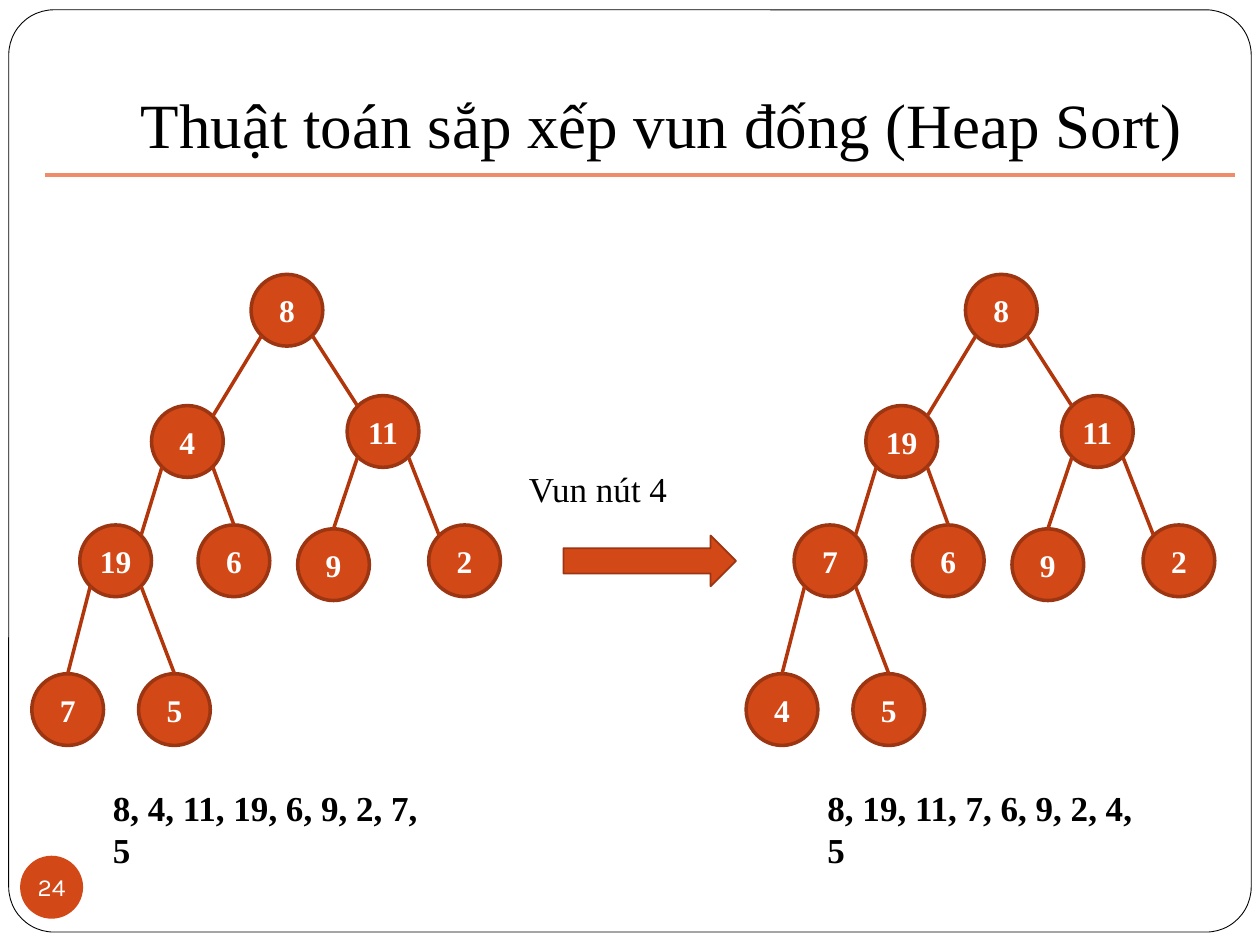
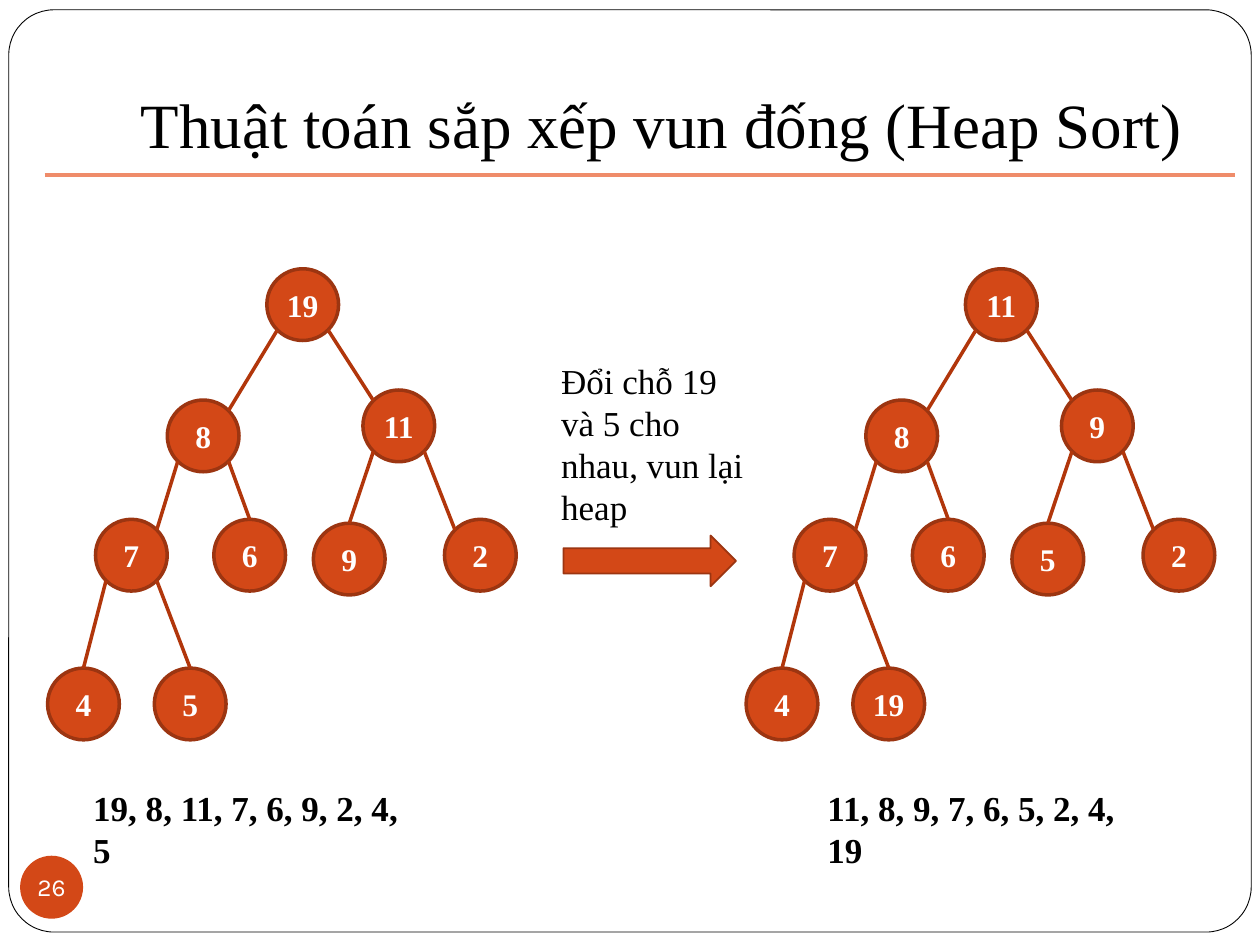
from math import sqrt

from lxml import etree
from pptx import Presentation
from pptx.dml.color import RGBColor
from pptx.enum import shapes, text
from pptx.oxml.ns import qn
from pptx.util import Pt

SHAPE = shapes.MSO_SHAPE
ALIGN = text.PP_ALIGN
ANCHOR = text.MSO_ANCHOR
TITLE = "Thuật toán sắp xếp vun đống (Heap Sort)"

# Heap layout in level order: top-left of each node, relative to the tree
NODE = 41
NODES = [(125.3, 0), (68.4, 75), (180.2, 69.3), (27.4, 143.2), (95, 143.2),
         (151.9, 145.4), (226.8, 143.2), (0, 228.2), (61, 228.2)]
# Where the edge from the parent meets each node below the root
ENDS = ["right", "left", "right", "top", "top", "left", "top", "top"]


def rgb(value):
    return RGBColor.from_string(value)


def write(sp, content, size=20, font="Times New Roman", color="000000", bold=False,
          align=ALIGN.LEFT, anchor=ANCHOR.TOP, insets=(7.2, 3.6, 7.2, 3.6), wrap=True):
    tf = sp.text_frame
    tf.word_wrap = wrap
    tf.vertical_anchor = anchor
    tf.margin_left, tf.margin_top, tf.margin_right, tf.margin_bottom = map(Pt, insets)
    p = tf.paragraphs[0]
    p.alignment = align
    r = p.add_run()
    r.text = content
    r.font.size, r.font.name, r.font.bold = Pt(size), font, bold
    r.font.color.rgb = rgb(color)
    return tf


class Deck:
    ACCENT, OUTLINE, EDGE, RULE = "D34817", "9C3511", "B1360B", "EF8C6A"
    CENTRED = dict(color="FFFFFF", align=ALIGN.CENTER, anchor=ANCHOR.MIDDLE,
                   insets=(0, 0, 0, 0))

    def __init__(self):
        self.prs = Presentation()
        self.prs.slide_width, self.prs.slide_height = Pt(720), Pt(540)
        self.s = None

    def shape(self, kind, x, y, w, h, fill, line=None, weight=1):
        sp = self.s.shapes.add_shape(kind, Pt(x), Pt(y), Pt(w), Pt(h))
        sp.shadow.inherit = False
        sp.fill.solid()
        sp.fill.fore_color.rgb = rgb(fill)
        if line:
            sp.line.color.rgb = rgb(line)
            sp.line.width = Pt(weight)
        else:
            sp.line.fill.background()
        return sp

    def line(self, start, end, color):
        c = self.s.shapes.add_connector(shapes.MSO_CONNECTOR.STRAIGHT,
                                        *map(Pt, (*start, *end)))
        c.line.color.rgb = rgb(color)
        c.line.width = Pt(2)
        etree.SubElement(c._element.spPr, qn("a:effectLst"))

    def label(self, content, x, y, w, h, **fmt):
        sp = self.s.shapes.add_textbox(Pt(x), Pt(y), Pt(w), Pt(h))
        tf = write(sp, content, **fmt)
        tf.auto_size = text.MSO_AUTO_SIZE.SHAPE_TO_FIT_TEXT

    def slide(self, number):
        self.s = self.prs.slides.add_slide(self.prs.slide_layouts[5])
        # Frame, sent behind the title
        frame = self.shape(SHAPE.ROUNDED_RECTANGLE, 5, 5.6, 710, 527, "FFFFFF",
                           "000000", 0.5)
        frame.adjustments[0] = 0.049
        self.s.shapes._spTree.insert(2, frame._element)
        # Title and rule
        title = self.s.shapes.title
        title.left, title.top, title.width, title.height = map(Pt, (72, 9.4, 612, 90))
        write(title, TITLE, size=36, align=ALIGN.CENTER, anchor=ANCHOR.BOTTOM,
              insets=(7.2, 3.6, 7.2, 7.2))
        self.line((25.5, 100), (705.5, 100), self.RULE)
        # Slide number
        badge = self.shape(SHAPE.OVAL, 11.5, 489, 36, 36, self.ACCENT)
        write(badge, str(number), size=14, font="Karla", wrap=False, **self.CENTRED)

    def step(self, content, x, y, w, h):
        self.shape(SHAPE.RIGHT_ARROW, 322, 306, 98.6, 29, self.ACCENT, self.OUTLINE)
        self.label(content, x, y, w, h)

    def heap(self, values, x, y, list_x):
        spots = [(x + dx, y + dy) for dx, dy in NODES]
        for value, (nx, ny) in zip(values, spots):
            sp = self.shape(SHAPE.FLOWCHART_CONNECTOR, nx, ny, NODE, NODE,
                            self.ACCENT, self.OUTLINE, 2)
            write(sp, str(value), size=18, bold=True, **self.CENTRED)
        # Edges run from the lower diagonals of a parent to its children
        near = NODE / 2 * (1 - 1 / sqrt(2))
        far = NODE - near
        ends = {"left": (near, near), "right": (far, near), "top": (NODE / 2, 0)}
        for child, end in enumerate(ENDS, start=1):
            px, py = spots[(child - 1) // 2]
            cx, cy = spots[child]
            ex, ey = ends[end]
            self.line((px + (near if child % 2 else far), py + far),
                      (cx + ex, cy + ey), self.EDGE)
        # Array form of the heap
        self.label(", ".join(map(str, values)), list_x, 445.7, 200, 31.5, bold=True)


def main():
    deck = Deck()

    # Sift down node 4
    deck.slide(24)
    deck.step("Vun nút 4", 295.2, 263.5, 132.5, 31.5)
    deck.heap([8, 4, 11, 19, 6, 9, 2, 7, 5], 18.2, 156.8, 57.4)
    deck.heap([8, 19, 11, 7, 6, 9, 2, 4, 5], 426.4, 156.8, 465.8)

    # Swap the root with the last node
    deck.slide(26)
    deck.step("Đổi chỗ 19 và 5 cho nhau, vun lại heap", 313.6, 202, 126.7, 104.4)
    deck.heap([19, 8, 11, 7, 6, 9, 2, 4, 5], 27.2, 153.6, 46.2)
    deck.heap([11, 8, 9, 7, 6, 5, 2, 4, 19], 426.4, 153.6, 465.8)

    deck.prs.save("out.pptx")


if __name__ == "__main__":
    main()
